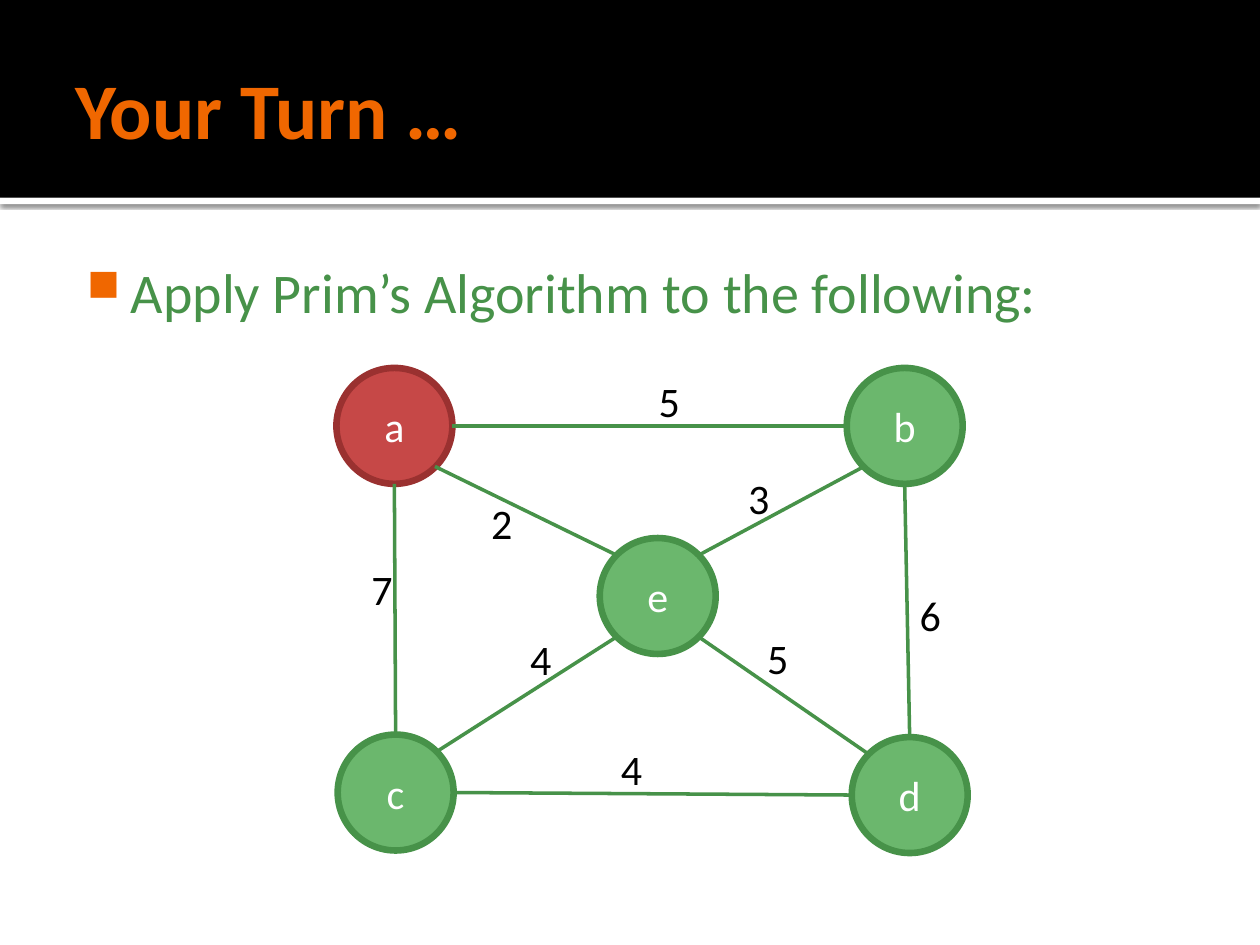
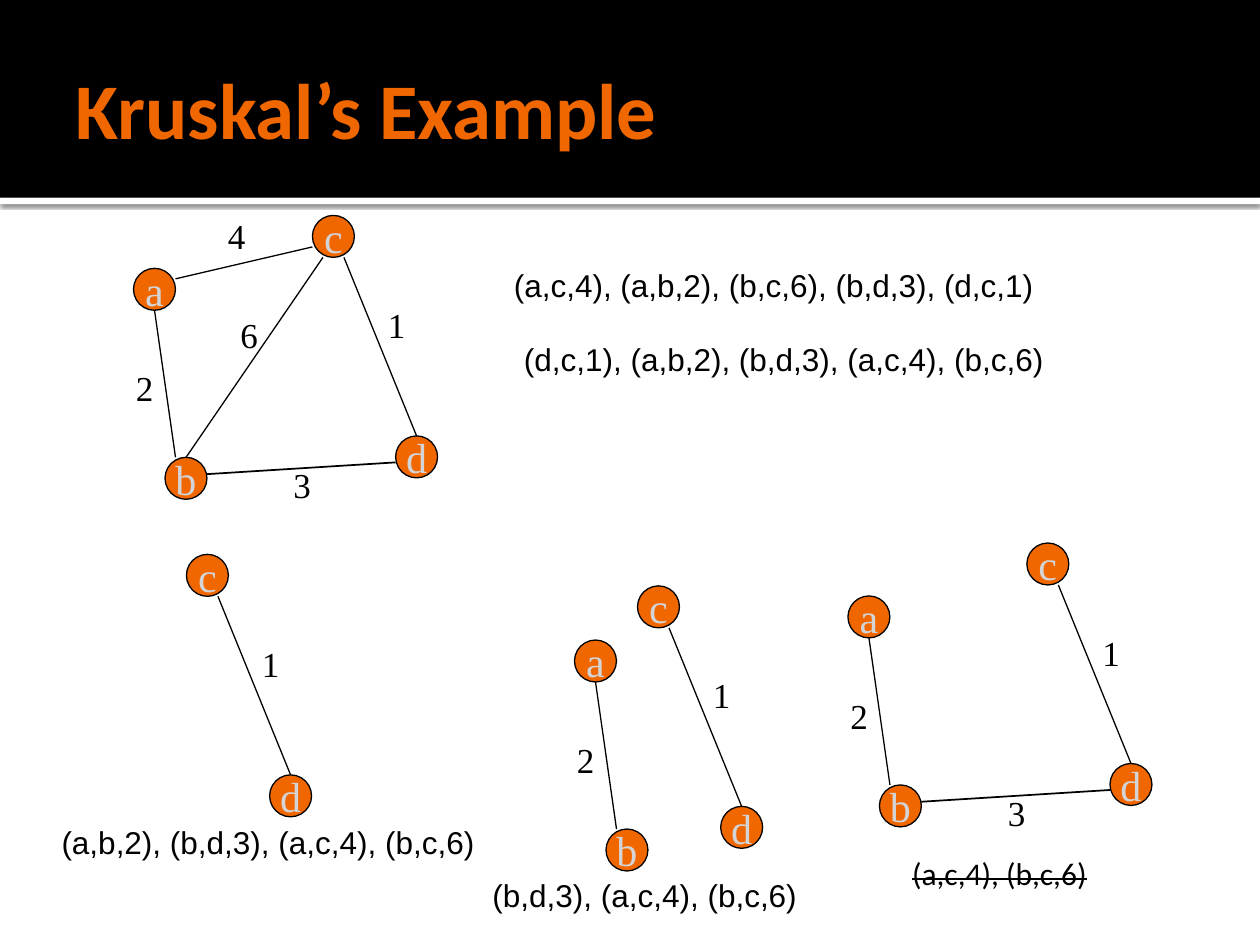
from dataclasses import dataclass

from lxml.etree import SubElement
from pptx import Presentation
from pptx.dml.color import RGBColor
from pptx.enum.shapes import MSO_CONNECTOR, MSO_SHAPE
from pptx.enum.text import MSO_ANCHOR, MSO_AUTO_SIZE, PP_ALIGN
from pptx.oxml.ns import qn
from pptx.util import Inches, Pt

# Grid: 100 columns by 75 rows of square cells
COLUMNS, ROWS = 100, 75
CELL = Inches(0.1)

BLACK = RGBColor(0x00, 0x00, 0x00)
WHITE = RGBColor(0xFF, 0xFF, 0xFF)
ORANGE = RGBColor(0xF0, 0x67, 0x00)
GREEN = RGBColor(0x6B, 0xB7, 0x6D)
DARK_GREEN = RGBColor(0x47, 0x92, 0x49)
RED = RGBColor(0xC6, 0x48, 0x47)
DARK_RED = RGBColor(0x9A, 0x31, 0x30)
PALE_GREY = RGBColor(0xD4, 0xD4, 0xD6)

HEADER_ROWS = 15.7


@dataclass(frozen=True)
class Box:
    """An area of the slide in grid cells."""
    left: float
    top: float
    width: float
    height: float

    def inner(self, left, top, width, height):
        return Box(self.left + left, self.top + top, width, height)

    def point(self, across, down):
        return (round((self.left + across * self.width) * CELL),
                round((self.top + down * self.height) * CELL))

    def emu(self):
        return [round(n * CELL) for n in (self.left, self.top, self.width, self.height)]


@dataclass(frozen=True)
class Edge:
    """Anchors are shares of a node's width and height; label is in cells."""
    start: str
    start_anchor: tuple
    end: str
    end_anchor: tuple
    weight: str
    label: tuple
    width: float


@dataclass(frozen=True)
class GraphStyle:
    node_size: float
    fill: RGBColor
    outline: RGBColor
    outline_width: float
    letter: RGBColor
    edge: RGBColor
    font: str
    label_size: int
    label_box: tuple
    wrap: bool


# Anchors on a node
TOP, BOTTOM, LEFT, RIGHT = (0.5, 0), (0.5, 1), (0, 0.5), (1, 0.5)
TOP_LEFT, TOP_RIGHT, BOTTOM_LEFT, BOTTOM_RIGHT = (
    (0.15, 0.15), (0.85, 0.15), (0.15, 0.85), (0.85, 0.85))

PRIM_STYLE = GraphStyle(9.2, GREEN, DARK_GREEN, 3.78, WHITE, DARK_GREEN,
                        "Calibri", 24, (3.7, 5), True)
PRIM_NODES = {"a": (0, 0), "b": (40.5, 0), "c": (0.1, 29.1),
              "d": (40.9, 29.3), "e": (20.9, 13.5)}
PRIM_EDGES = [
    Edge("a", BOTTOM, "c", TOP, "7", (1.8, 15), 2),
    Edge("a", RIGHT, "b", LEFT, "5", (24.6, 0.1), 2),
    Edge("b", BOTTOM, "d", TOP, "6", (45.3, 17.1), 2),
    Edge("c", RIGHT, "d", LEFT, "4", (21.6, 29.3), 2),
    Edge("a", BOTTOM_RIGHT, "e", TOP_LEFT, "2", (11.3, 9.8), 2),
    Edge("e", TOP_RIGHT, "b", BOTTOM_LEFT, "3", (31.7, 7.8), 2),
    Edge("e", BOTTOM_LEFT, "c", TOP_RIGHT, "4", (14.4, 20.6), 2),
    Edge("e", BOTTOM_RIGHT, "d", TOP_LEFT, "5", (33.2, 20.5), 2),
]

KRUSKAL_STYLE = GraphStyle(3.33, ORANGE, BLACK, 0.75, PALE_GREY, BLACK,
                           "Times New Roman", 20, (3.4, 4.3), False)
KRUSKAL_NODES = {"a": (0, 4.2), "b": (2.5, 19.2), "c": (14.2, 0), "d": (20.8, 17.5)}
KRUSKAL_EDGES = {
    "ac": Edge("a", (1, 0.25), "c", (0, 0.75), "4", (6.5, -0.6), 0.75),
    "ab": Edge("b", (0.25, 0), "a", BOTTOM, "2", (-0.8, 11.5), 0.75),
    "bc": Edge("b", TOP, "c", (0.25, 1), "6", (7.5, 7.3), 0.75),
    "bd": Edge("b", (1, 0.4), "d", (0, 0.63), "3", (11.7, 19.2), 1),
    "cd": Edge("d", TOP, "c", (0.75, 1), "1", (19.2, 6.5), 0.75),
}
# Each stage: left and top of its graph, edges drawn
KRUSKAL_STAGES = [
    (10.6, 17.1, ["ac", "ab", "bc", "bd", "cd"]),
    (0.6, 44, ["cd"]),
    (36.4, 46.5, ["cd"]),
    (45.6, 46.6, ["ab"]),
    (67.3, 43.1, ["ab", "bd", "cd"]),
]
# Each list of edges: box, text, font, struck out
EDGE_LISTS = [
    (Box(39.8, 20.6, 45.8, 4), "(a,c,4), (a,b,2), (b,c,6), (b,d,3), (d,c,1)", "Arial", False),
    (Box(40.6, 26.5, 45.8, 4), "(d,c,1), (a,b,2), (b,d,3), (a,c,4), (b,c,6)", "Arial", False),
    (Box(3.9, 64.8, 35, 4), "(a,b,2), (b,d,3), (a,c,4), (b,c,6)", "Arial", False),
    (Box(38.1, 69, 27.5, 4), "(b,d,3), (a,c,4), (b,c,6)", "Arial", False),
    (Box(71.4, 67.3, 20, 4), "(a,c,4), (b,c,6)", "Calibri", True),
]


def format_font(font, name, size, color, bold=False):
    font.name, font.size, font.bold = name, Pt(size), bold
    font.color.rgb = color


def add_text(slide, box, text, name, size, color, bold=False, wrap=True):
    area = slide.shapes.add_textbox(*box.emu())
    frame = area.text_frame
    frame.text = text
    frame.word_wrap = wrap
    format_font(frame.paragraphs[0].runs[0].font, name, size, color, bold)
    return frame


def add_band(slide, box, color):
    band = slide.shapes.add_shape(MSO_SHAPE.RECTANGLE, *box.emu())
    band.shadow.inherit = False
    band.fill.solid()
    band.fill.fore_color.rgb = color
    band.line.fill.background()
    return band


def add_header(slide, box, title):
    # White rule with a soft shadow below the black band
    rule = add_band(slide, box.inner(0, box.height, box.width, 0.5), WHITE)
    effects = rule.fill._xPr.find(qn("a:effectLst"))
    shadow = SubElement(effects, qn("a:outerShdw"), blurRad=str(Pt(2.5)),
                        dist=str(Pt(0.8)), dir="5400000", rotWithShape="0")
    shade = SubElement(shadow, qn("a:srgbClr"), val=str(BLACK))
    SubElement(shade, qn("a:alpha"), val="60000")
    add_band(slide, box, BLACK)

    # Title
    frame = add_text(slide, box.inner(5, 1.7, 90, 13.7), title, "Calibri", 45, ORANGE, True)
    frame.vertical_anchor = MSO_ANCHOR.MIDDLE
    frame.margin_right = Inches(0.05)


def add_task(slide, box, text):
    frame = add_text(slide, box, text, "Calibri", 32, DARK_GREEN)
    frame.margin_left, frame.margin_top = Inches(0.06), Inches(0.1)
    # Square orange bullet
    properties = frame.paragraphs[0]._p.get_or_add_pPr()
    properties.set("marL", str(Inches(0.48)))
    properties.set("indent", str(Inches(-0.35)))
    bullet_color = SubElement(properties, qn("a:buClr"))
    SubElement(bullet_color, qn("a:srgbClr"), val=str(ORANGE))
    SubElement(properties, qn("a:buSzPct"), val="80000")
    SubElement(properties, qn("a:buChar"), char="■")


def add_node(slide, box, letter, style, fill, outline):
    node = slide.shapes.add_shape(MSO_SHAPE.OVAL, *box.emu())
    node.shadow.inherit = False
    node.fill.solid()
    node.fill.fore_color.rgb = fill
    node.line.color.rgb = outline
    node.line.width = Pt(style.outline_width)
    frame = node.text_frame
    frame.text = letter
    frame.word_wrap = style.wrap
    frame.vertical_anchor = MSO_ANCHOR.MIDDLE
    frame.paragraphs[0].alignment = PP_ALIGN.CENTER
    format_font(frame.paragraphs[0].runs[0].font, style.font, 24, style.letter)


def add_graph(slide, box, positions, edges, style, start_node=None):
    # Nodes that the edges touch
    used = {end for edge in edges for end in (edge.start, edge.end)}
    nodes = {letter: box.inner(*positions[letter], style.node_size, style.node_size)
             for letter in sorted(used)}
    for letter, area in nodes.items():
        colors = (RED, DARK_RED) if letter == start_node else (style.fill, style.outline)
        add_node(slide, area, letter, style, *colors)

    # Edges and their weights
    for edge in edges:
        line = slide.shapes.add_connector(
            MSO_CONNECTOR.STRAIGHT,
            *nodes[edge.start].point(*edge.start_anchor),
            *nodes[edge.end].point(*edge.end_anchor))
        line.line.color.rgb = style.edge
        line.line.width = Pt(edge.width)
        SubElement(line._element.spPr, qn("a:effectLst"))
        weight = add_text(slide, box.inner(*edge.label, *style.label_box), edge.weight,
                          style.font, style.label_size, BLACK, wrap=False)
        weight.auto_size = MSO_AUTO_SIZE.SHAPE_TO_FIT_TEXT


def add_edge_list(slide, box, text, font, struck):
    frame = add_text(slide, box, text, font, 18, BLACK)
    if struck:
        frame.paragraphs[0].runs[0]._r.get_or_add_rPr().set("strike", "sngStrike")


def start_slide(deck, title):
    slide = deck.slides.add_slide(deck.slide_layouts[6])
    add_header(slide, Box(0, 0, COLUMNS, HEADER_ROWS), title)
    return slide


def build_prim_slide(deck):
    slide = start_slide(deck, "Your Turn …")
    add_task(slide, Box(5, 19.4, 90, 8), "Apply Prim’s Algorithm to the following:")
    add_graph(slide, Box(26.7, 29.2, 50.1, 38.5), PRIM_NODES, PRIM_EDGES, PRIM_STYLE, "a")


def build_kruskal_slide(deck):
    slide = start_slide(deck, "Kruskal’s Example")
    for left, top, names in KRUSKAL_STAGES:
        add_graph(slide, Box(left, top, 24.1, 22.5), KRUSKAL_NODES,
                  [KRUSKAL_EDGES[name] for name in names], KRUSKAL_STYLE)
    for edge_list in EDGE_LISTS:
        add_edge_list(slide, *edge_list)


def main():
    deck = Presentation()
    deck.slide_width, deck.slide_height = COLUMNS * CELL, ROWS * CELL
    build_prim_slide(deck)
    build_kruskal_slide(deck)
    deck.save("out.pptx")


if __name__ == "__main__":
    main()
